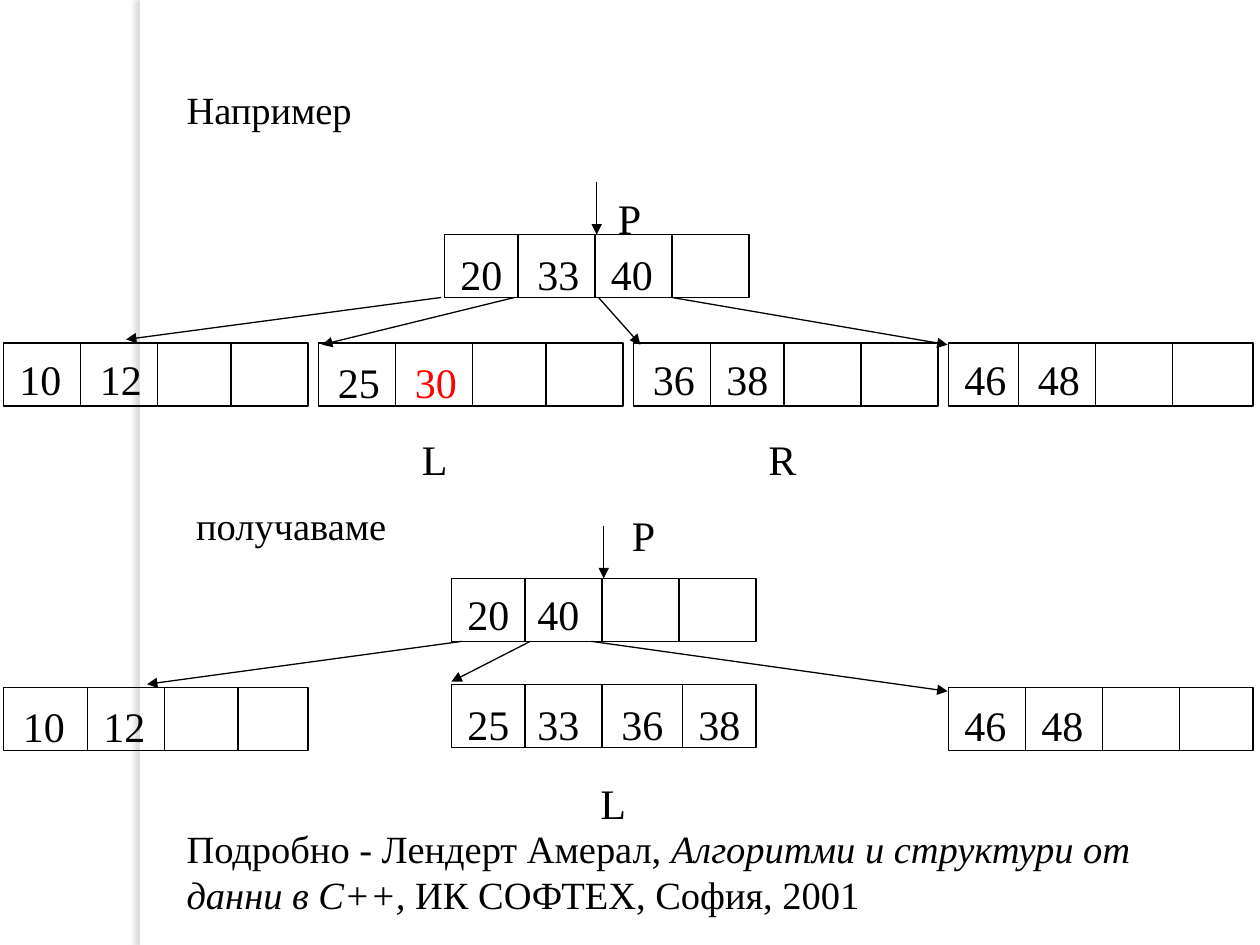
"""Build a slide showing a B-tree before and after two leaves are merged."""
from lxml import etree
from pptx import Presentation
from pptx.dml.color import RGBColor
from pptx.enum.shapes import MSO_CONNECTOR, MSO_SHAPE
from pptx.enum.text import MSO_ANCHOR, MSO_AUTO_SIZE, PP_ALIGN
from pptx.oxml import parse_xml
from pptx.oxml.ns import qn
from pptx.util import Pt

STRAIGHT = MSO_CONNECTOR.STRAIGHT
RECTANGLE = MSO_SHAPE.RECTANGLE
TOP = MSO_ANCHOR.TOP
NO_AUTOFIT = MSO_AUTO_SIZE.NONE
LEFT = PP_ALIGN.LEFT

BLACK = RGBColor(0x00, 0x00, 0x00)
WHITE = RGBColor(0xFF, 0xFF, 0xFF)
RED = RGBColor(0xFF, 0x00, 0x00)
FONT = "Times New Roman"
NODE_W, NODE_H = 174, 36
LINE_PITCH = 26.4

BAR_SHADOW = (
    '<a:effectLst xmlns:a="http://schemas.openxmlformats.org/drawingml/2006/main">'
    '<a:outerShdw blurRad="38100" dist="38100" dir="10800000">'
    '<a:srgbClr val="736F63"><a:alpha val="25000"/></a:srgbClr>'
    "</a:outerShdw></a:effectLst>"
)

# Each node: left, top, divider offsets, key text drop, keys as (text, offset).
BEFORE = {
    "nodes": [
        (254, 134, (42, 86, 130), 2, [("20", 2), ("33", 46), ("40", 88)]),
        (2, 196, (44, 88, 130), 0, [("10", 2), ("12", 48)]),
        (182, 196, (44, 88, 130), 2, [("25", 4), ("30", 48)]),
        (362, 196, (44, 86, 130), 0, [("36", 4), ("38", 46)]),
        (542, 196, (40, 84, 128), 0, [("46", 2), ("48", 44)]),
    ],
    "links": [
        (252, 170, 72, 194),
        (294, 170, 184, 197),
        (342, 170, 366, 197),
        (384, 170, 541.5, 197),
    ],
    "labels": [("Р", 346, 104), ("L", 234, 242), ("R", 432, 242)],
}
AFTER = {
    "nodes": [
        (258, 330.5, (42, 86, 130), 0, [("20", 2), ("40", 42)]),
        (2, 393, (48, 92, 134), 1.5, [("10", 4), ("12", 50)]),
        (258, 391, (42, 86, 132), 2,
         [("25", 2), ("33", 42), ("36", 90), ("38", 134)]),
        (542, 393, (44, 88, 132), 1, [("46", 2), ("48", 46)]),
    ],
    "links": [
        (264, 366.5, 84, 391),
        (303, 366.5, 258, 389.5),
        (338, 366.5, 541.5, 395),
    ],
    "labels": [("Р", 354, 285), ("L", 336, 438.5)],
}


def style_run(r, size, color=BLACK):
    """Apply the slide font to a run."""
    r.font.name = FONT
    r.font.size = Pt(size)
    r.font.color.rgb = color


def add_line(shapes, x1, y1, x2, y2, arrow=False):
    """Draw a thin black line, with an arrowhead at its end if wanted."""
    line = shapes.add_connector(STRAIGHT, Pt(x1), Pt(y1), Pt(x2), Pt(y2))
    line.line.color.rgb = BLACK
    line.line.width = Pt(0.75)
    if arrow:
        etree.SubElement(line.line._get_or_add_ln(), qn("a:tailEnd"), type="triangle")
    etree.SubElement(line.element.spPr, qn("a:effectLst"))
    return line


def add_label(shapes, text, left, top, width=54, color=BLACK):
    """Place a short text."""
    tf = shapes.add_textbox(Pt(left), Pt(top), Pt(width), Pt(NODE_H)).text_frame
    tf.word_wrap = True
    tf.margin_top = Pt(6)
    tf.text = text
    style_run(tf.paragraphs[0].runs[0], 24, color)


def add_node(shapes, left, top, dividers, drop, keys):
    """Draw a node with its cells and keys."""
    sp = shapes.add_shape(RECTANGLE, Pt(left), Pt(top), Pt(NODE_W), Pt(NODE_H))
    sp.shadow.inherit = False
    sp.fill.background()
    sp.line.color.rgb = BLACK
    sp.line.width = Pt(0.75)
    for dx in dividers:
        add_line(shapes, left + dx, top, left + dx, top + NODE_H)
    for key, dx in keys:
        color = RED if key == "30" else BLACK
        add_label(shapes, key, left + dx, top + drop, 60, color)
    return sp


def add_tree(s, nodes, links, labels):
    """Draw a tree as one group, with the pointer P to its root."""
    shapes = s.shapes.add_group_shape().shapes
    root = [add_node(shapes, *node) for node in nodes][0]
    x, y = nodes[0][0] + NODE_W / 2, nodes[0][1]
    add_line(shapes, x, y - 30, x, y, arrow=True).end_connect(root, 0)
    for link in links:
        add_line(shapes, *link, arrow=True)
    for label in labels:
        add_label(shapes, *label)


def add_bar(s):
    """Draw the white strip with a soft shadow behind the title."""
    bar = s.shapes.add_shape(RECTANGLE, Pt(80), 0, Pt(6), Pt(540))
    bar.fill.solid()
    bar.fill.fore_color.rgb = WHITE
    bar.line.fill.background()
    bar.element.spPr.append(parse_xml(BAR_SHADOW))
    s.shapes.title.element.addprevious(bar.element)


def fill_title(s):
    """Write the running text into the title placeholder."""
    sp = s.shapes.title
    sp.left, sp.top, sp.width, sp.height = Pt(99.4), Pt(49), Pt(596), Pt(444)
    tf = sp.text_frame
    tf.word_wrap = True
    tf.auto_size = NO_AUTOFIT
    tf.vertical_anchor = TOP
    tf.margin_top = 0
    paragraphs = [
        (0, 0, ["Например"]),
        (8, 5.5, ["получаваме"]),
        (6, 0, ["Подробно - Лендерт Амерал, ",
                "Алгоритми и структури от данни в С++,",
                " ИК СОФТЕХ, София, 2001"]),
    ]
    for i, (gap, indent, texts) in enumerate(paragraphs):
        p = tf.add_paragraph() if i else tf.paragraphs[0]
        p.alignment = LEFT
        p.line_spacing = Pt(LINE_PITCH)
        p.space_before = Pt(gap * LINE_PITCH)
        p._p.get_or_add_pPr().set("marL", str(Pt(indent)))
        for j, text in enumerate(texts):
            r = p.add_run()
            r.text = text
            style_run(r, 22)
            r.font.italic = j == 1


def main():
    """Build and save the slide."""
    prs = Presentation()
    prs.slide_width, prs.slide_height = Pt(720), Pt(540)
    s = prs.slides.add_slide(prs.slide_layouts[5])
    fill_title(s)
    add_bar(s)
    for tree in (BEFORE, AFTER):
        add_tree(s, **tree)
    prs.save("out.pptx")


if __name__ == "__main__":
    main()
